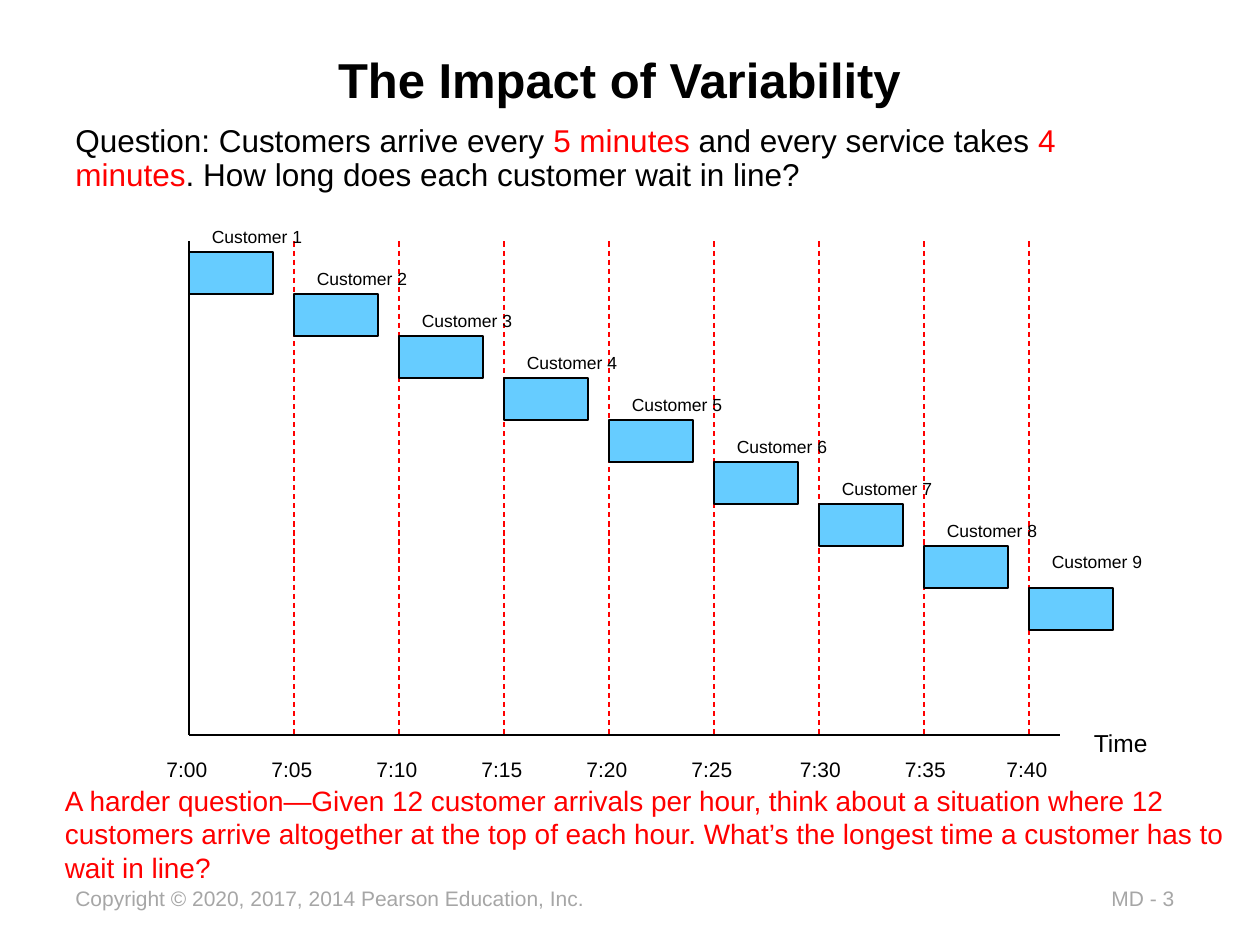
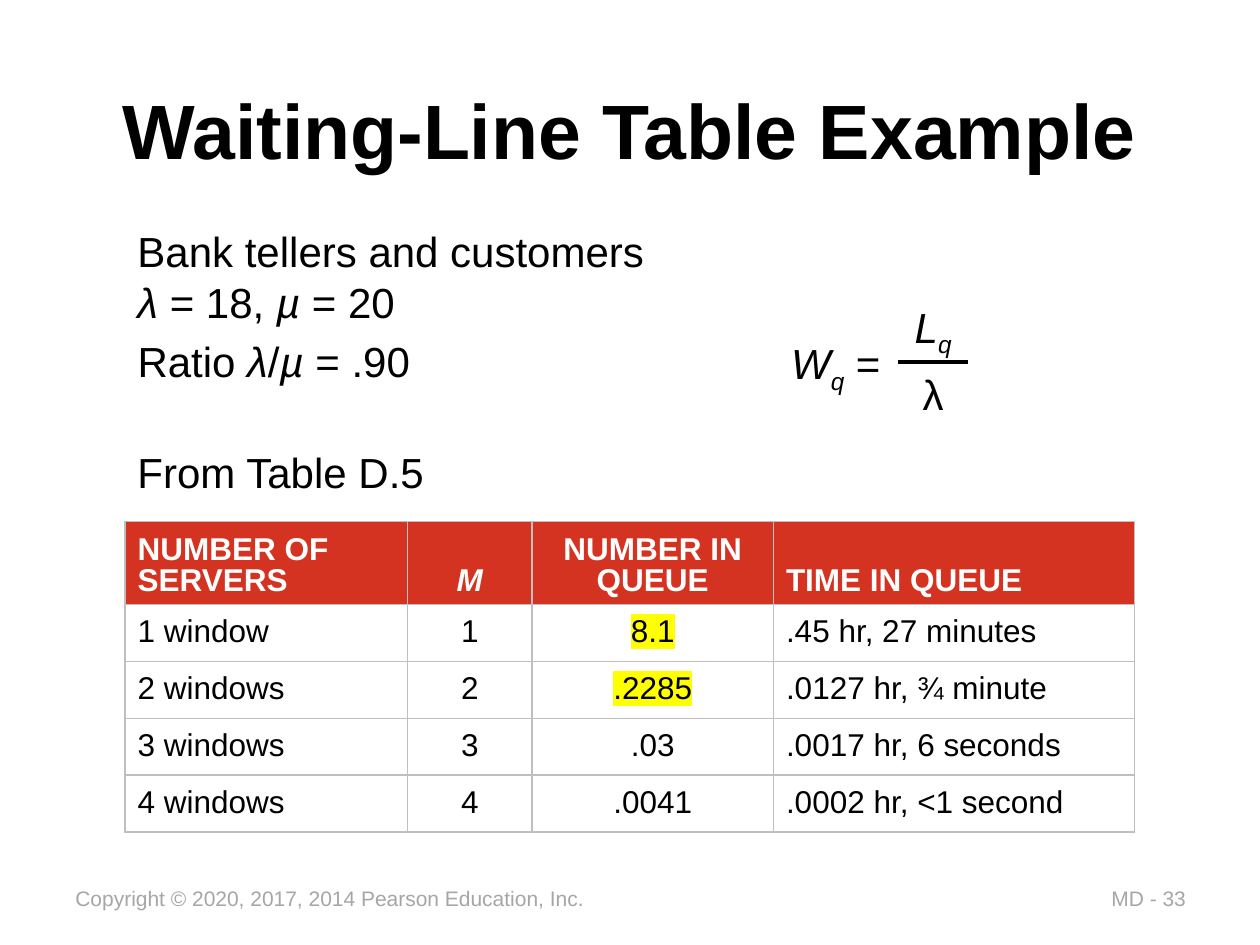
from lxml import etree
from pptx import Presentation
from pptx.dml.color import RGBColor
from pptx.enum import dml, shapes, text
from pptx.oxml import ns
from pptx.util import Pt

BLACK = RGBColor(0x00, 0x00, 0x00)
WHITE = RGBColor(0xFF, 0xFF, 0xFF)
RED = RGBColor(0xFF, 0x00, 0x00)
GRAY = RGBColor(0xA6, 0xA6, 0xA6)
SKY = RGBColor(0x66, 0xCC, 0xFF)
BRICK = RGBColor(0xD3, 0x33, 0x20)
BORDER = RGBColor(0xBF, 0xBF, 0xBF)
YELLOW = RGBColor(0xFF, 0xFF, 0x00)

FONT = "Arial"
COPYRIGHT = "Copyright © 2020, 2017, 2014 Pearson Education, Inc."
CENTER = text.PP_ALIGN.CENTER
MIDDLE = text.MSO_ANCHOR.MIDDLE
BOTTOM = text.MSO_ANCHOR.BOTTOM

ITALIC = {"italic": True}
SUBSCRIPT = {"italic": True, "baseline": -25000}
IN_RED = {"color": RED}


def child(parent, tag, **attributes):
    return etree.SubElement(parent, ns.qn(tag), attributes)


def solid(parent, color):
    child(child(parent, "a:solidFill"), "a:srgbClr", val=str(color))


class Painter:
    def __init__(self):
        self.deck = Presentation()
        self.deck.slide_width, self.deck.slide_height = Pt(720), Pt(540)
        self.page = None

    def new_page(self, number, title, size, title_area):
        self.page = self.deck.slides.add_slide(self.deck.slide_layouts[6])
        self.label(628, 502.5, 59, 22, f"MD - {number}", size=12, color=GRAY)
        self.label(36, 502.5, 308, 22, COPYRIGHT, size=12, color=GRAY)
        self.words(*title_area, [[title]], {"alignment": CENTER}, MIDDLE, size=size, bold=True)

    def add_span(self, para, content, style):
        span = para.add_run()
        span.text = content
        style = {"name": FONT, "color": BLACK, **style}
        span.font.color.rgb = style.pop("color")
        baseline = style.pop("baseline", None)
        highlight = style.pop("highlight", None)
        style["size"] = Pt(style["size"])
        for name, value in style.items():
            setattr(span.font, name, value)
        properties = span.font._element
        if baseline:
            properties.set("baseline", str(baseline))
        if highlight:
            mark = etree.Element(ns.qn("a:highlight"))
            child(mark, "a:srgbClr", val=str(highlight))
            properties.find(ns.qn("a:latin")).addprevious(mark)

    def fill_frame(self, frame, paragraphs, layout, style):
        for index, spans in enumerate(paragraphs):
            para = frame.add_paragraph() if index else frame.paragraphs[0]
            for name, value in layout.items():
                setattr(para, name, value)
            for span in spans:
                content, extra = (span, {}) if isinstance(span, str) else span
                self.add_span(para, content, {**style, **extra})

    def words(self, left, top, width, height, paragraphs, layout=None,
              anchor=text.MSO_ANCHOR.TOP, wrap=True, grow=False, **style):
        box = self.page.shapes.add_textbox(Pt(left), Pt(top), Pt(width), Pt(height))
        frame = box.text_frame
        fit = text.MSO_AUTO_SIZE
        settings = {
            "word_wrap": wrap,
            "vertical_anchor": anchor,
            "auto_size": fit.SHAPE_TO_FIT_TEXT if grow else fit.NONE,
        }
        for name, value in settings.items():
            setattr(frame, name, value)
        self.fill_frame(frame, paragraphs, layout or {}, style)

    def label(self, left, top, width, height, content, **style):
        spans = [content] if isinstance(content, str) else content
        self.words(left, top, width, height, [spans], wrap=False, grow=True, **style)

    def line(self, x1, y1, x2, y2, color=BLACK, width=0.75, dash=None):
        connector = self.page.shapes.add_connector(
            shapes.MSO_CONNECTOR.STRAIGHT, Pt(x1), Pt(y1), Pt(x2), Pt(y2))
        connector.line.color.rgb = color
        connector.line.width = Pt(width)
        connector.line.dash_style = dash
        child(connector._element.spPr, "a:effectLst")

    def rectangle(self, left, top, width, height, fill):
        box = self.page.shapes.add_shape(
            shapes.MSO_SHAPE.RECTANGLE, Pt(left), Pt(top), Pt(width), Pt(height))
        box.shadow.inherit = False
        box.fill.solid()
        box.fill.fore_color.rgb = fill
        box.line.color.rgb = BLACK
        box.line.width = Pt(0.75)

    def cell(self, cell, content, centered, header):
        cell.vertical_anchor = BOTTOM if header else MIDDLE
        layout = {"line_spacing": 0.9}
        if centered:
            layout["alignment"] = CENTER
        style = {"size": 18, "bold": header, "color": WHITE if header else BLACK}
        self.fill_frame(cell.text_frame, [[content]], layout, style)
        spacing = child(cell.text_frame.paragraphs[0]._p.get_or_add_pPr(), "a:spcAft")
        child(spacing, "a:spcPct", val="40000")
        properties = cell._tc.get_or_add_tcPr()
        for side in ("a:lnL", "a:lnR", "a:lnT", "a:lnB"):
            solid(child(properties, side, w=str(Pt(1))), BORDER)
        if header:
            cell.fill.solid()
            cell.fill.fore_color.rgb = BRICK
        else:
            cell.fill.background()

    def table(self, left, top, widths, heights, rows, centered_columns):
        frame = self.page.shapes.add_table(
            len(rows), len(widths), Pt(left), Pt(top), Pt(sum(widths)), Pt(sum(heights)))
        table = frame.table
        table.first_row = table.horz_banding = False
        for column, width in zip(table.columns, widths):
            column.width = Pt(width)
        for row, height, contents in zip(table.rows, heights, rows):
            row.height = Pt(height)
            for index, content in enumerate(contents):
                self.cell(row.cells[index], content, index in centered_columns, contents is rows[0])


def variability_page(painter):
    painter.new_page(3, "The Impact of Variability", 28, (48, 12, 612, 66))
    question = [
        "Question: Customers arrive every ", ("5 minutes ", IN_RED),
        "and every service takes ", ("4 minutes", IN_RED),
        ". How long does each customer wait in line?",
    ]
    painter.words(36, 68, 612, 324, [question],
                  {"line_spacing": 0.9, "space_after": Pt(12)}, size=18)

    left, top, axis = 108, 138, 420
    arrival_gap, service, row_height = 60, 48, 24
    customers = 9
    painter.line(left, top, left, axis)
    painter.line(left, axis, 606, axis)
    for index in range(1, customers):
        x = left + index * arrival_gap
        painter.line(x, top, x, axis, RED, dash=dml.MSO_LINE.DASH)
    for index in range(customers):
        x = left + index * arrival_gap
        y = 144 + index * row_height
        label_top = y - (24 if index == customers - 1 else 18)
        painter.words(x + 6, label_top, 48, 18, [[f"Customer {index + 1}"]],
                      anchor=MIDDLE, wrap=False, size=10)
        painter.rectangle(x, y, service, row_height, SKY)
        nudge = 2 if index in (6, 7) else 0
        painter.label(x - 20 + nudge, 428.5, 38, 22, f"7:{index * 5:02}", size=12)
    painter.label(618, 412.5, 47, 24, "Time", size=14)

    harder = ("A harder question—Given 12 customer arrivals per hour, think about a situation "
              "where 12 customers arrive altogether at the top of each hour. What’s the longest "
              "time a customer has to wait in line?")
    painter.words(30, 444, 690, 65.5, [[harder]], grow=True, size=16, color=RED)


def waiting_line_page(painter):
    painter.new_page(33, "Waiting-Line Table Example", 44, (54, 34.5, 612, 78.5))
    left = 71.5
    rates = [("λ", ITALIC), " = 18, ", ("µ", ITALIC), " = 20"]
    painter.words(left, 125.5, 307, 65.5, [["Bank tellers and customers"], rates],
                  wrap=False, grow=True, size=24)
    painter.label(left, 251.5, 180, 36.5, "From Table D.5", size=24)
    ratio = ["Ratio ", ("λ", ITALIC), "/", ("µ", ITALIC), " = .90"]
    painter.label(left, 188, 173, 36.5, ratio, size=24)

    painter.label(445, 189.5, 69, 36.5, [("W", ITALIC), ("q", SUBSCRIPT), " ="], size=24)
    painter.words(512, 162, 42.5, 76.5, [[("L", ITALIC), ("q", SUBSCRIPT)], ["λ"]],
                  {"alignment": CENTER, "line_spacing": 1.2}, wrap=False, grow=True, size=24)
    painter.line(513, 207, 553, 207, width=2.25)

    marked = {"highlight": YELLOW}
    rows = [
        ["NUMBER OF SERVERS", ("M", ITALIC), "NUMBER IN QUEUE", "TIME IN QUEUE"],
        ["1 window", "1", ("8.1", marked), ".45 hr, 27 minutes"],
        ["2 windows", "2", (".2285", marked), ".0127 hr, ¾ minute"],
        ["3 windows", "3", ".03", ".0017 hr, 6 seconds"],
        ["4 windows", "4", ".0041", ".0002 hr, <1 second"],
    ]
    painter.table(left, 298, [161.5, 71, 138, 206.5], [47.5] + [32.5] * 4, rows, (1, 2))


def main():
    painter = Painter()
    variability_page(painter)
    waiting_line_page(painter)
    painter.deck.save("out.pptx")


if __name__ == "__main__":
    main()
